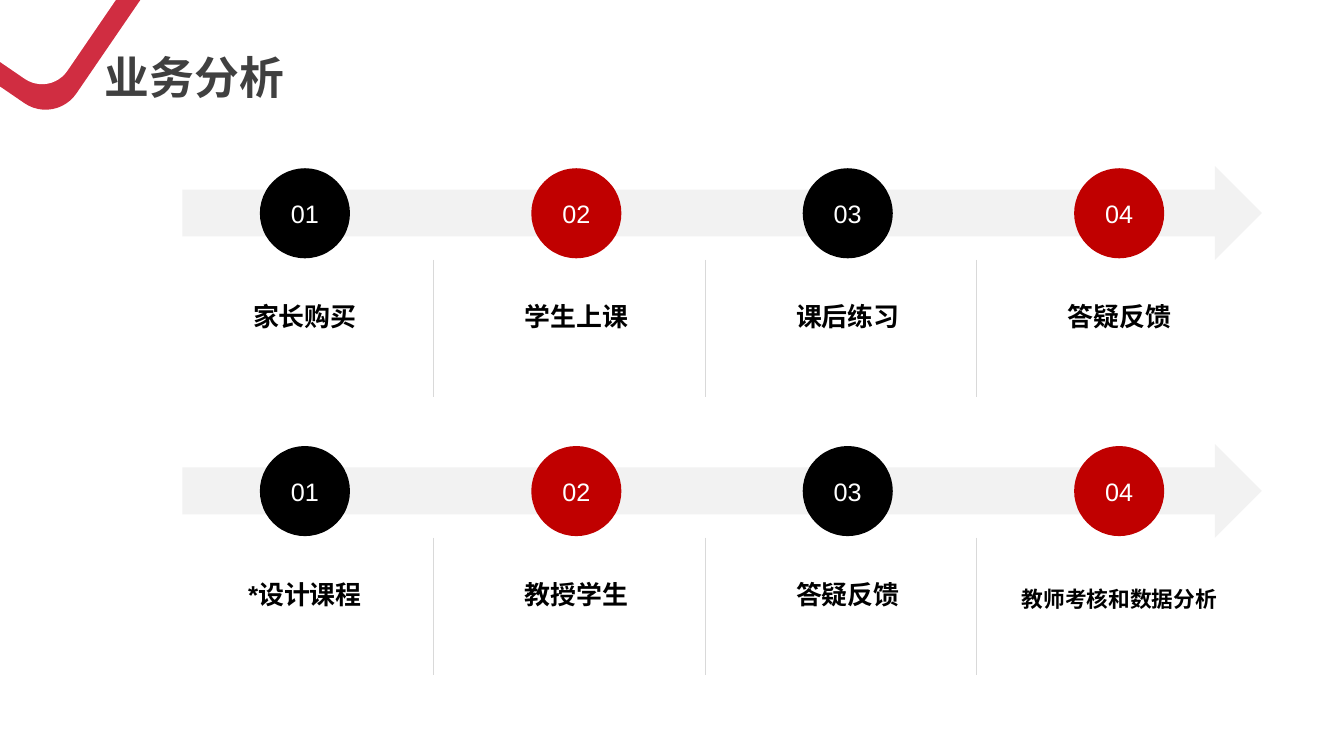
from lxml.etree import SubElement
from pptx import Presentation
from pptx.dml.color import RGBColor
from pptx.enum.shapes import MSO_CONNECTOR, MSO_SHAPE
from pptx.enum.text import MSO_ANCHOR, MSO_AUTO_SIZE, PP_ALIGN
from pptx.oxml.ns import qn
from pptx.util import Cm, Pt

WHITE = RGBColor(0xFF, 0xFF, 0xFF)
BLACK = RGBColor(0x00, 0x00, 0x00)
RED = RGBColor(0xC0, 0x00, 0x00)
RIBBON_RED = RGBColor(0xD0, 0x2D, 0x41)
TITLE_GREY = RGBColor(0x40, 0x40, 0x40)
ARROW_GREY = RGBColor(0xF2, 0xF2, 0xF2)
DIVIDER_GREY = RGBColor(0xD9, 0xD9, 0xD9)

TITLE_FORMAT = {"name": "Noto Sans CJK SC", "size": Pt(32), "bold": True}
NUMBER_FORMAT = {"name": "Arial", "size": Pt(18), "bold": False}
STEP_FORMAT = {"name": "Arial", "size": Pt(18.5), "bold": True}
LONG_STEP_FORMAT = {**STEP_FORMAT, "size": Pt(15.5)}

# Positions in cm
ROW_TOP, ROW_PITCH = 4.19, 7.0
STEP_PITCH = 6.84
CIRCLE_LEFT, CIRCLE_SIZE = 6.55, 2.27
LABEL_LEFT, LABEL_WIDTH, LABEL_HEIGHT = 4.83, 5.71, 1.0
DIVIDER_LEFT = 10.92
RIBBON_X, RIBBON_Y = 0.66, -0.79

ROWS = [
    ["家长购买", "学生上课", "课后练习", "答疑反馈"],
    ["*设计课程", "教授学生", "答疑反馈", "教师考核和数据分析"],
]


class ProcessSlide:
    def __init__(self, deck):
        self.slide = deck.slides.add_slide(deck.slide_layouts[5])
        self.shapes = self.slide.shapes

    def add_text(self, frame, text, style, color, align=PP_ALIGN.CENTER, inset=0):
        frame_format = {
            "word_wrap": True,
            "auto_size": MSO_AUTO_SIZE.NONE,
            "vertical_anchor": MSO_ANCHOR.MIDDLE,
            "margin_left": Cm(inset),
            "margin_right": Cm(inset),
            "margin_top": 0,
            "margin_bottom": 0,
        }
        for key, value in frame_format.items():
            setattr(frame, key, value)
        paragraph = frame.paragraphs[0]
        paragraph.alignment = align
        run = paragraph.add_run()
        run.text = text
        for key, value in style.items():
            setattr(run.font, key, value)
        run.font.color.rgb = color
        return run

    def title(self, text, left, top, width, height):
        heading = self.shapes.title
        heading.left, heading.top = Cm(left), Cm(top)
        heading.width, heading.height = Cm(width), Cm(height)
        run = self.add_text(heading.text_frame, text, TITLE_FORMAT, TITLE_GREY,
                            PP_ALIGN.LEFT, 0.25)
        east_asian = SubElement(run.font._element, qn("a:ea"))
        east_asian.set("typeface", TITLE_FORMAT["name"])

    def block(self, preset, left, top, width, height, fill, rotation=0):
        block = self.shapes.add_shape(preset, Cm(left), Cm(top), Cm(width), Cm(height))
        block.shadow.inherit = False
        block.fill.solid()
        block.fill.fore_color.rgb = fill
        block.line.fill.background()
        block.rotation = rotation
        return block

    def circle(self, left, top, number, fill):
        circle = self.block(MSO_SHAPE.OVAL, left, top, CIRCLE_SIZE, CIRCLE_SIZE, fill)
        self.add_text(circle.text_frame, number, NUMBER_FORMAT, WHITE)

    def label(self, left, top, text, style):
        label = self.shapes.add_textbox(Cm(left), Cm(top), Cm(LABEL_WIDTH), Cm(LABEL_HEIGHT))
        self.add_text(label.text_frame, text, style, BLACK)

    def divider(self, left, top, bottom):
        divider = self.shapes.add_connector(
            MSO_CONNECTOR.STRAIGHT, Cm(left), Cm(top), Cm(left), Cm(bottom))
        divider.line.color.rgb = DIVIDER_GREY
        divider.line.width = Pt(0.25)
        SubElement(divider._element.spPr, qn("a:effectLst"))

    def process(self, top, steps):
        self.block(MSO_SHAPE.RIGHT_ARROW, 4.6, top, 27.2, 2.36, ARROW_GREY)
        for index in range(len(steps) - 1):
            self.divider(DIVIDER_LEFT + index * STEP_PITCH, top + 2.36, top + 5.82)
        for index, step in enumerate(steps):
            offset = index * STEP_PITCH
            self.circle(CIRCLE_LEFT + offset, top + 0.05, f"{index + 1:02}",
                        RED if index % 2 else BLACK)
            is_long = len(step) > 5
            self.label(LABEL_LEFT + offset, top + (3.4 if is_long else 3.27), step,
                       LONG_STEP_FORMAT if is_long else STEP_FORMAT)


def main():
    deck = Presentation()
    deck.slide_width, deck.slide_height = Cm(33.87), Cm(19.05)
    page = ProcessSlide(deck)

    # Title and corner ribbon
    page.title("业务分析", 2.39, 1.12, 9.96, 1.63)
    for size, fill in [(5.64, RIBBON_RED), (4.62, WHITE)]:
        page.block(MSO_SHAPE.ROUNDED_RECTANGLE, RIBBON_X - size / 2, RIBBON_Y - size / 2,
                   size, size, fill, 304.4)

    # Process rows
    for row, steps in enumerate(ROWS):
        page.process(ROW_TOP + row * ROW_PITCH, steps)

    deck.save("out.pptx")


if __name__ == "__main__":
    main()
